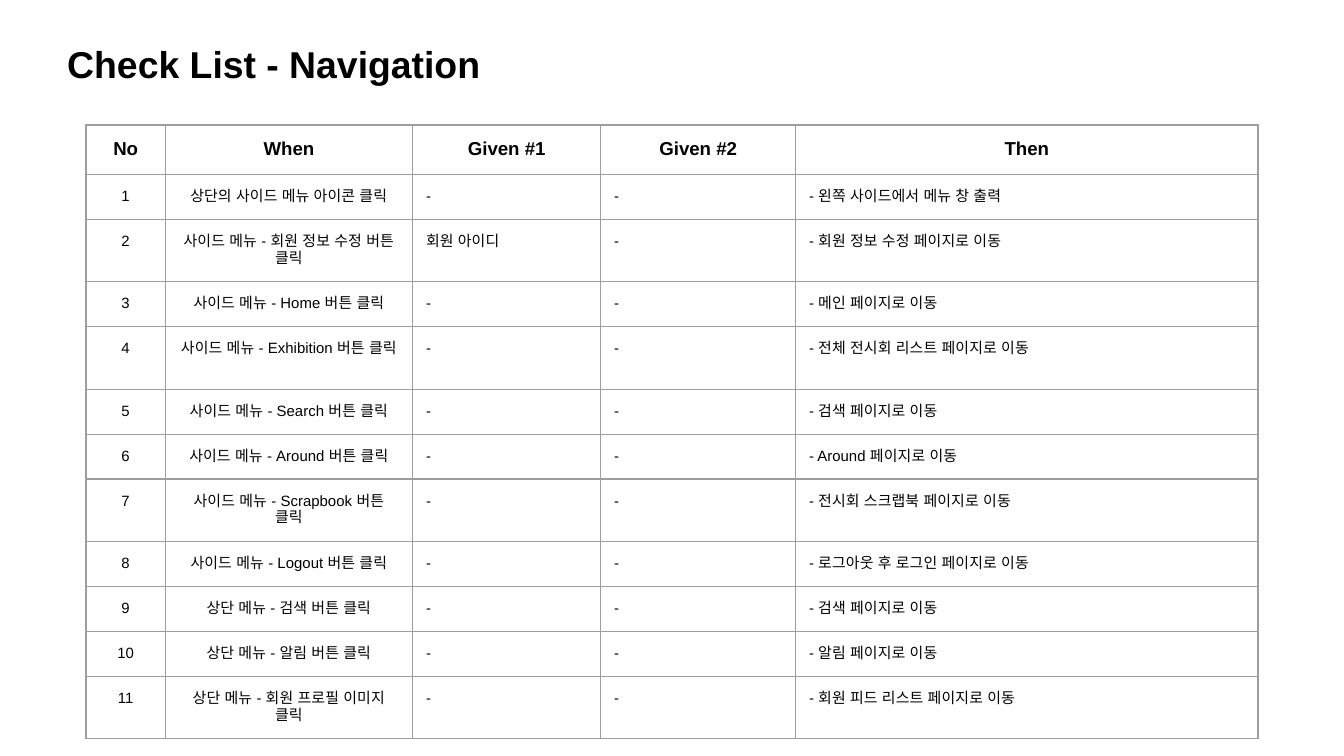
import pptx
import pptx.dml.color
import pptx.enum.text
import pptx.util
import lxml.etree
from pptx.oxml.ns import qn

INCH = pptx.util.Inches
ALIGN = pptx.enum.text.PP_ALIGN
TOP = pptx.enum.text.MSO_ANCHOR.TOP
WIDE = 10
HIGH = WIDE * 9 / 16
PAD = INCH(0.1)
FONT = "Arial"
COLS = [0.59, 1.84, 1.4, 1.45, 3.44]
ROW = 0.31
FRAME = 3.28
HEAD = ["No", "When", "Given #1", "Given #2", "Then"]
CHECKS = [
    ("상단의 사이드 메뉴 아이콘 클릭", "-", "왼쪽 사이드에서 메뉴 창 출력"),
    ("사이드 메뉴 - 회원 정보 수정 버튼 클릭", "회원 아이디", "회원 정보 수정 페이지로 이동"),
    ("사이드 메뉴 - Home 버튼 클릭", "-", "메인 페이지로 이동"),
    ("사이드 메뉴 - Exhibition 버튼 클릭", "-", "전체 전시회 리스트 페이지로 이동"),
    ("사이드 메뉴 - Search 버튼 클릭", "-", "검색 페이지로 이동"),
    ("사이드 메뉴 - Around 버튼 클릭", "-", "Around 페이지로 이동"),
    ("사이드 메뉴 - Scrapbook 버튼 클릭", "-", "전시회 스크랩북 페이지로 이동"),
    ("사이드 메뉴 - Logout 버튼 클릭", "-", "로그아웃 후 로그인 페이지로 이동"),
    ("상단 메뉴 - 검색 버튼 클릭", "-", "검색 페이지로 이동"),
    ("상단 메뉴 - 알림 버튼 클릭", "-", "알림 페이지로 이동"),
    ("상단 메뉴 - 회원 프로필 이미지 클릭", "-", "회원 피드 리스트 페이지로 이동"),
]


def paint(color, code):
    color.rgb = pptx.dml.color.RGBColor.from_string(code)


def write(frame, text, size, bold, align):
    para = frame.paragraphs[0]
    para.alignment = align
    run = para.add_run()
    run.text = text
    run.font.name = FONT
    run.font.size = pptx.util.Pt(size)
    run.font.bold = bold
    paint(run.font.color, "000000")
    for script in ("ea", "cs"):
        lxml.etree.SubElement(run._r.get_or_add_rPr(), qn(f"a:{script}"), typeface=FONT)


def pad(box):
    """Give a cell or a text frame equal margins on all sides."""
    box.margin_left = box.margin_right = PAD
    box.margin_top = box.margin_bottom = PAD
    box.vertical_anchor = TOP


def edge(cell, code, width):
    """Draw all four borders of a cell."""
    props = cell._tc.get_or_add_tcPr()
    for side in ("lnL", "lnR", "lnT", "lnB"):
        line = lxml.etree.SubElement(props, qn(f"a:{side}"), w=str(pptx.util.Pt(width)))
        fill = lxml.etree.SubElement(line, qn("a:solidFill"))
        lxml.etree.SubElement(fill, qn("a:srgbClr"), val=code)


def add_title(slide, text):
    title = slide.shapes.title
    title.left, title.top = INCH(0.04 * WIDE), INCH(0.21)
    title.width, title.height = INCH(5.94), INCH(0.54)
    frame = title.text_frame
    pad(frame)
    frame.word_wrap = True
    frame.auto_size = pptx.enum.text.MSO_AUTO_SIZE.SHAPE_TO_FIT_TEXT
    write(frame, text, 20, True, ALIGN.LEFT)


def add_grid(slide, rows):
    shape = slide.shapes.add_table(
        len(rows), len(COLS), INCH(0.64), INCH(0.93), INCH(FRAME), INCH(FRAME))
    table = shape.table
    table.first_row = table.horz_banding = False
    for col, width in zip(table.columns, COLS):
        col.width = INCH(width)
    for i, texts in enumerate(rows):
        table.rows[i].height = INCH(ROW)
        for j, text in enumerate(texts):
            cell = table.cell(i, j)
            pad(cell)
            edge(cell, "9E9E9E", 0.75)
            cell.fill.background()
            head = i == 0
            align = ALIGN.CENTER if head or j < 2 else ALIGN.LEFT
            write(cell.text_frame, text, 10 if head else 8, head, align)
    shape.width = shape.height = INCH(FRAME)


def main():
    deck = pptx.Presentation()
    deck.slide_width, deck.slide_height = INCH(WIDE), INCH(HIGH)
    slide = deck.slides.add_slide(deck.slide_layouts[5])
    add_title(slide, "Check List - Navigation")
    body = [[str(n), when, given, "-", f"- {then}"]
            for n, (when, given, then) in enumerate(CHECKS, 1)]
    add_grid(slide, [HEAD] + body)
    deck.save("out.pptx")


if __name__ == "__main__":
    main()
